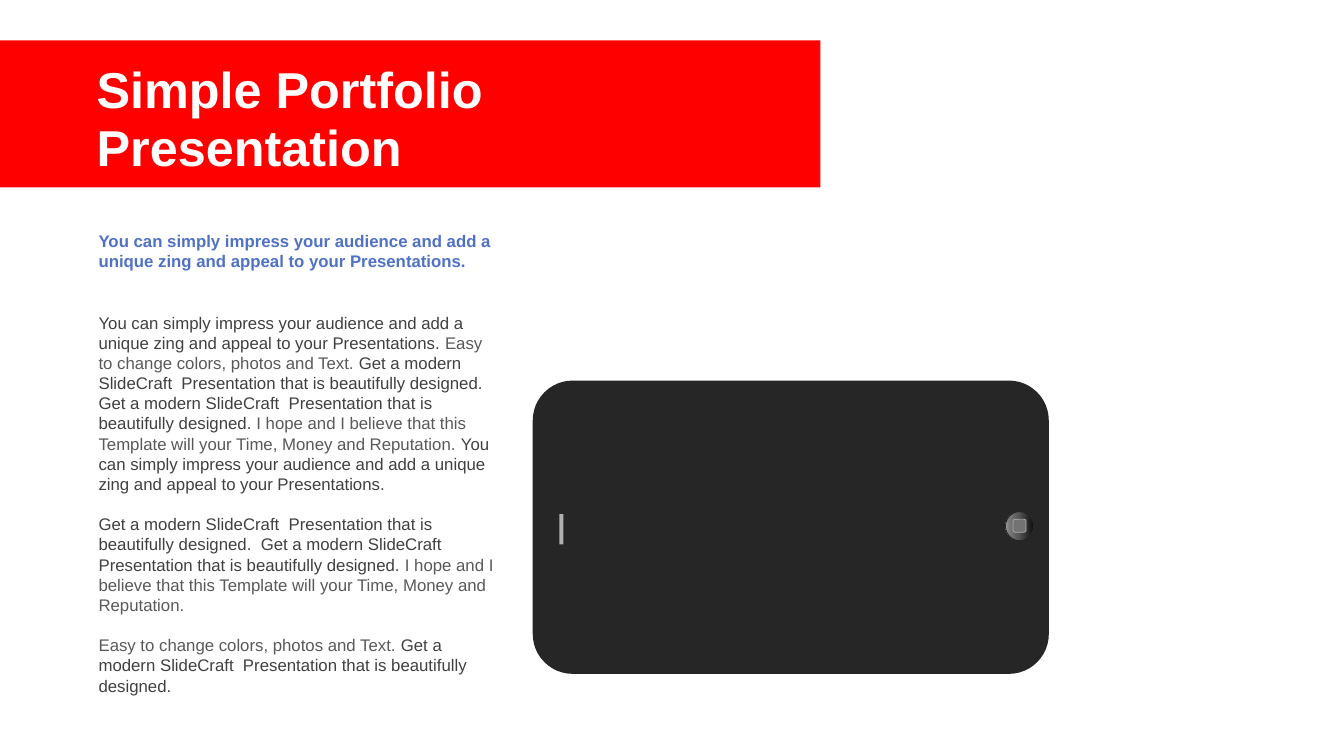
from lxml import etree
from pptx import Presentation
from pptx.dml.color import RGBColor
from pptx.enum.shapes import MSO_SHAPE
from pptx.enum.text import MSO_ANCHOR, MSO_AUTO_SIZE
from pptx.oxml.ns import qn
from pptx.util import Pt

RECTANGLE = MSO_SHAPE.RECTANGLE
ROUNDED = MSO_SHAPE.ROUNDED_RECTANGLE
OVAL = MSO_SHAPE.OVAL
MIDDLE = MSO_ANCHOR.MIDDLE
FIT_SHAPE = MSO_AUTO_SIZE.SHAPE_TO_FIT_TEXT

# Content
FONT = "Arial"
WHITE, RED, BLUE = "FFFFFF", "FF0000", "5072C4"
DARK, MEDIUM, BODY_SIZE = "404040", "595959", 12

IMPRESS = "You can simply impress your audience and add a unique zing and appeal to your Presentations."
EASY = "Easy to change colors, photos and Text. "
MODERN = "Get a modern SlideCraft  Presentation that is beautifully designed."
HOPE = "I hope and I believe that this Template will your Time, Money and Reputation."

TITLE = [[("Simple Portfolio", WHITE)], [("Presentation", WHITE)]]
LEAD = [[(IMPRESS, BLUE)]]
BODY = [
    [(IMPRESS + " ", DARK), (EASY, MEDIUM), (f"{MODERN} {MODERN} ", DARK),
     (HOPE + " ", MEDIUM), (IMPRESS, DARK)],
    [(f"{MODERN}  {MODERN} ", DARK), (HOPE, MEDIUM)],
    [(EASY, MEDIUM), (MODERN, DARK)],
]

# Phone parts, upright before turning: kind, (left, top, width, height), fill, line
PHONE_TURN = 270
PHONE_PARTS = [
    (ROUNDED, (460.08, 192.24, 209.52, 368.64), "262626", None),
    (RECTANGLE, (390.24, 376.56, 21.6, 2.88), "B0B0B0", None),
    (OVAL, (717.84, 365.76, 20.88, 20.16), None, ("262626", 0)),
    (ROUNDED, (723.6, 370.8, 9.36, 9.36), "737373", ("B0B0B0", 0.5)),
]
PHONE_CORNER = 0.136
BUTTON_STOPS = [(0, "0F0F0F"), (56, "595959"), (91, "808080"), (100, "BFBFBF")]


def color(value):
    return RGBColor.from_string(value)


def add_block(shapes, kind, box, fill, line=None):
    shape = shapes.add_shape(kind, *map(Pt, box))
    shape.shadow.inherit = False
    if fill:
        shape.fill.solid()
        shape.fill.fore_color.rgb = color(fill)
    if line:
        shape.line.color.rgb = color(line[0])
        shape.line.width = Pt(line[1])
    else:
        shape.line.fill.background()
    return shape


def fill_gradient(shape, stops, angle):
    shape.fill.gradient()
    gradient = shape._element.spPr.find(qn("a:gradFill"))
    gradient.set("rotWithShape", "0")
    stop_list = gradient.find(qn("a:gsLst"))
    for old_stop in list(stop_list):
        stop_list.remove(old_stop)
    for position, value in stops:
        stop = etree.SubElement(stop_list, qn("a:gs"), pos=str(position * 1000))
        etree.SubElement(stop, qn("a:srgbClr"), val=value)
    shape.fill.gradient_angle = angle


def add_text(slide, box, paragraphs, size, bold=False, gap=0, spacing=None):
    shape = slide.shapes.add_textbox(*map(Pt, box))
    frame = shape.text_frame
    frame.word_wrap = True
    for index, runs in enumerate(paragraphs):
        paragraph = frame.add_paragraph() if index else frame.paragraphs[0]
        if index:
            paragraph.space_before = Pt(gap)
        if spacing:
            paragraph.line_spacing = spacing
        for text, value in runs:
            run = paragraph.add_run()
            run.text = text
            run.font.name = FONT
            run.font.size = Pt(size)
            run.font.bold = bold
            run.font.color.rgb = color(value)
    return frame


presentation = Presentation()
presentation.slide_width, presentation.slide_height = Pt(960), Pt(540)
slide = presentation.slides.add_slide(presentation.slide_layouts[6])

# Title band
add_block(slide.shapes, RECTANGLE, (0, 28.8, 586.08, 105.12), RED)

# Phone lying on its side
phone = slide.shapes.add_group_shape()
parts = [add_block(phone.shapes, *part) for part in PHONE_PARTS]
for part in parts:
    part.rotation = PHONE_TURN
case, speaker, button, button_mark = parts
case.adjustments[0] = PHONE_CORNER
fill_gradient(button, BUTTON_STOPS, 180)

# Texts
title = add_text(slide, (61.92, 35.28, 337.68, 105.12), TITLE, 36,
                 bold=True, gap=7.2, spacing=0.8)
title.vertical_anchor = MIDDLE
body = add_text(slide, (63.36, 219.6, 300.24, 283.68), BODY, BODY_SIZE, gap=14.4)
lead = add_text(slide, (63.36, 161.28, 318.96, 36), LEAD, BODY_SIZE, bold=True)
for frame in (body, lead):
    frame.auto_size = FIT_SHAPE

presentation.save("out.pptx")
